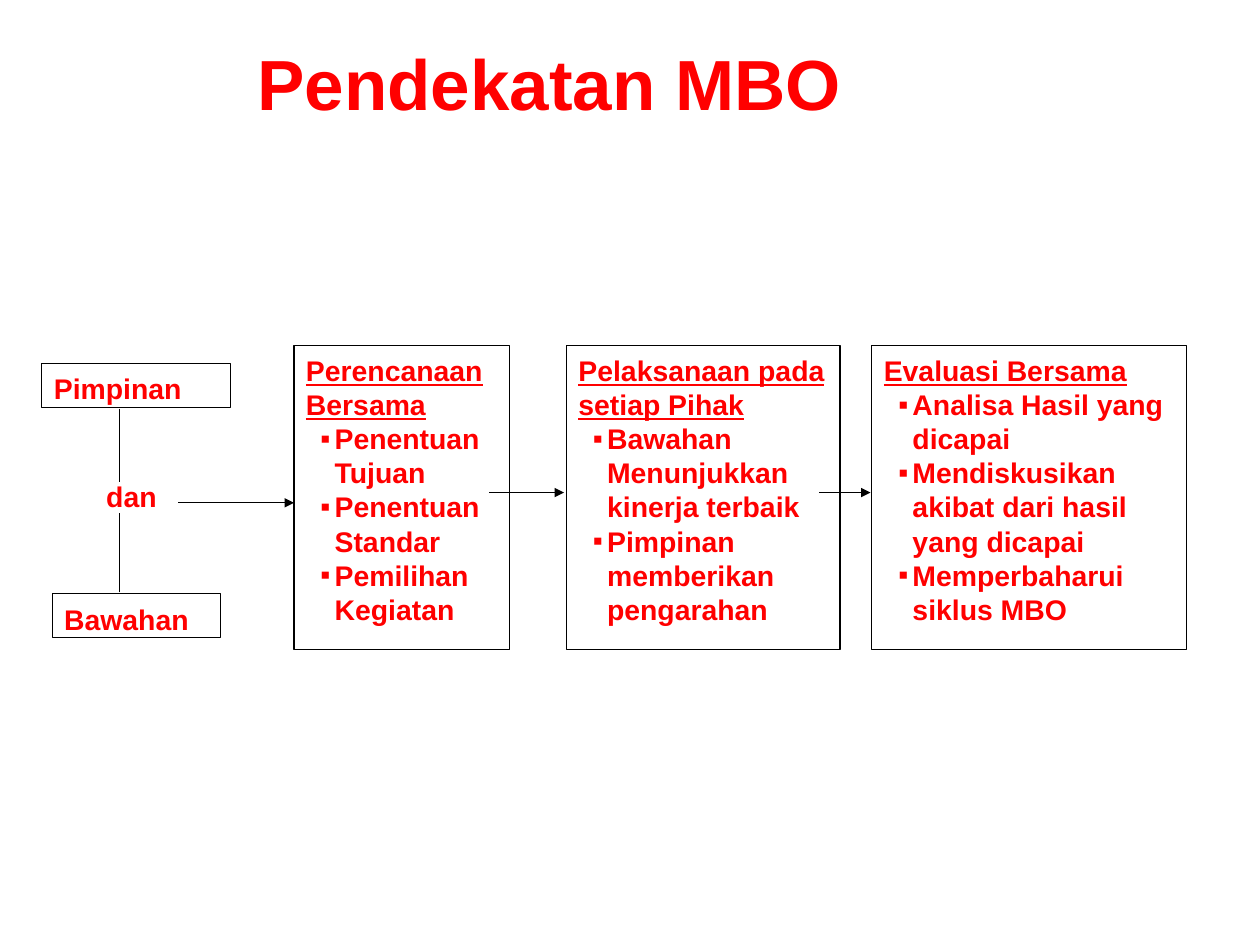
"""Build the MBO approach slide: leaders and staff feed a three-stage flow."""
from dataclasses import dataclass

from lxml import etree
from pptx import Presentation
from pptx.dml.color import RGBColor
from pptx.enum import shapes, text
from pptx.oxml import ns
from pptx.util import Pt


@dataclass(frozen=True)
class Theme:
    font: str = "Arial"
    ink: RGBColor = RGBColor(0xFF, 0, 0)
    line: RGBColor = RGBColor(0, 0, 0)
    title_size: float = 45
    body_size: float = 18
    leading: float = 21.6
    line_width: float = 0.75


THEME = Theme()
ROLES = [
    ("Pimpinan", (26.6, 230.4, 119.5, 28)),
    ("Bawahan", (33.1, 376.6, 106.6, 28)),
]
STAGE_TOP, STAGE_HEIGHT = 219, 193
STAGES = [
    (186.5, 136.8, "Perencanaan Bersama",
     ["Penentuan Tujuan", "Penentuan Standar", "Pemilihan Kegiatan"]),
    (359.3, 173.5, "Pelaksanaan pada setiap Pihak",
     ["Bawahan Menunjukkan kinerja terbaik",
      "Pimpinan memberikan pengarahan"]),
    (553, 199.4, "Evaluasi Bersama",
     ["Analisa Hasil yang dicapai",
      "Mendiskusikan akibat dari hasil yang dicapai",
      "Memperbaharui siklus MBO"]),
]
ROLE_LINES = [(75.6, 259.2, 75.6, 306), (75.6, 375.8, 75.6, 325.4)]
ARROWS = [
    (113, 319, 186.5, 319),
    (310.3, 312.5, 357.8, 312.5),
    (519.8, 312.5, 552.2, 312.5),
]


def add_element(parent, tag, **attributes):
    return etree.SubElement(parent, ns.qn(tag), **attributes)


def style_text(para, size, underline=False):
    para.alignment = text.PP_ALIGN.LEFT
    font = para.font
    font.name, font.size, font.bold = THEME.font, Pt(size), True
    font.color.rgb = THEME.ink
    font.underline = underline


def add_bullet(para):
    properties = para._p.get_or_add_pPr()
    properties.set("marL", str(Pt(18.2)))
    properties.set("indent", str(Pt(-9)))
    color = add_element(properties, "a:buClr")
    add_element(color, "a:srgbClr", val=str(THEME.ink))
    add_element(properties, "a:buFont", typeface=THEME.font)
    add_element(properties, "a:buChar", char="▪")


def fill_text(box, heading, bullets=(), underline=False):
    frame = box.text_frame
    frame.word_wrap = True
    frame.vertical_anchor = text.MSO_ANCHOR.TOP
    frame.margin_left = frame.margin_right = Pt(7.6)
    frame.margin_top = frame.margin_bottom = Pt(5.2)
    para = frame.paragraphs[0]
    para.text = heading
    para.line_spacing = Pt(THEME.leading)
    style_text(para, THEME.body_size, underline)
    for bullet in bullets:
        para = frame.add_paragraph()
        para.text = bullet
        add_bullet(para)
        para.line_spacing = Pt(THEME.leading)
        style_text(para, THEME.body_size)


def add_box(page, bounds):
    box = page.shapes.add_shape(shapes.MSO_SHAPE.RECTANGLE, *map(Pt, bounds))
    box.shadow.inherit = False
    box.fill.background()
    box.line.color.rgb = THEME.line
    box.line.width = Pt(THEME.line_width)
    return box


def add_line(page, ends, arrow=False):
    line = page.shapes.add_connector(
        shapes.MSO_CONNECTOR.STRAIGHT, *map(Pt, ends))
    line.line.color.rgb = THEME.line
    line.line.width = Pt(THEME.line_width)
    if arrow:
        add_element(line.line._get_or_add_ln(), "a:tailEnd", type="triangle")
    add_element(line._element.spPr, "a:effectLst")


def set_title(page, wording):
    title = page.shapes.title
    title.left, title.top, title.width, title.height = map(
        Pt, (156.2, 12.2, 606.2, 72))
    frame = title.text_frame
    frame.text = wording
    frame.auto_size = text.MSO_AUTO_SIZE.NONE
    frame.vertical_anchor = text.MSO_ANCHOR.MIDDLE
    frame.margin_top = Pt(12)
    style_text(frame.paragraphs[0], THEME.title_size)


def main():
    deck = Presentation()
    deck.slide_width, deck.slide_height = Pt(799.2), Pt(597.6)
    page = deck.slides.add_slide(deck.slide_layouts[5])
    set_title(page, "Pendekatan MBO")
    for role, bounds in ROLES:
        fill_text(add_box(page, bounds), role)
    joiner = page.shapes.add_textbox(*map(Pt, (59.8, 298.8, 119.5, 27.4)))
    fill_text(joiner, "dan")
    for left, width, heading, bullets in STAGES:
        box = add_box(page, (left, STAGE_TOP, width, STAGE_HEIGHT))
        fill_text(box, heading, bullets, underline=True)
    for ends in ROLE_LINES:
        add_line(page, ends)
    for ends in ARROWS:
        add_line(page, ends, arrow=True)
    deck.save("out.pptx")


if __name__ == "__main__":
    main()
